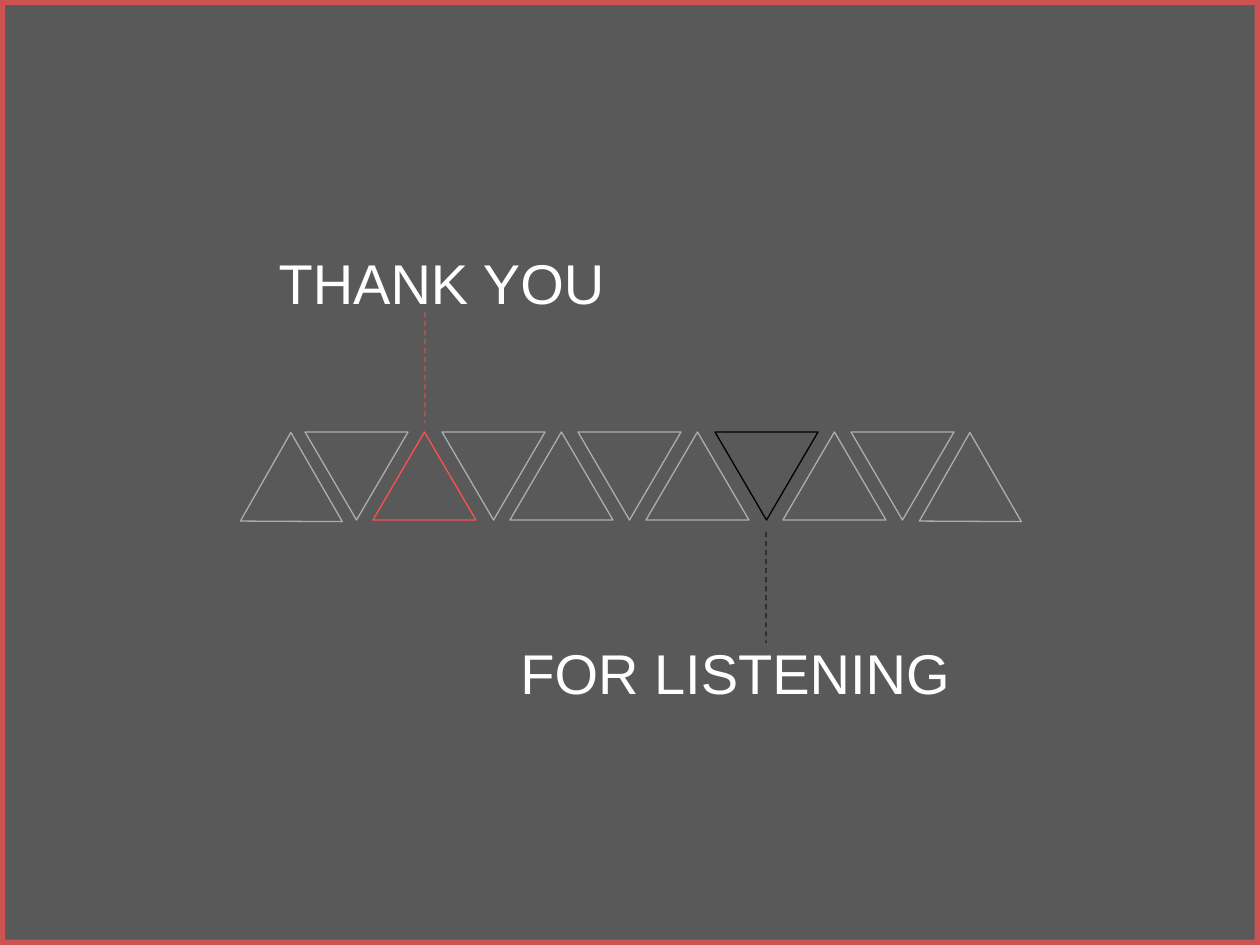
from dataclasses import dataclass

import lxml.etree
import pptx
import pptx.dml.color
import pptx.enum.dml
import pptx.enum.shapes
import pptx.enum.text
import pptx.oxml.ns
import pptx.shapes.autoshape
import pptx.shapes.base
import pptx.shapes.connector
import pptx.slide
import pptx.util

RGB = pptx.dml.color.RGBColor
GREY = RGB(0x59, 0x59, 0x59)
RED = RGB(0xFF, 0x50, 0x50)
WHITE = RGB(0xFF, 0xFF, 0xFF)
BLACK = RGB(0, 0, 0)
KIND = pptx.enum.shapes.MSO_SHAPE
SCALE = 914400 / 126
WIDE, HIGH = 1260, 945
SIDE, TALL = 103, 88
START, STEP, TOP = 305, 68.3, 432


@dataclass
class Box:
    left: int
    top: int
    width: int
    height: int
    turn: int = 0


@dataclass
class Dash:
    x: int
    top: int
    end: int
    color: RGB
    alpha: int = 100


def emu(px: float) -> int:
    return round(px * SCALE)


def fade(shape: pptx.shapes.base.BaseShape, alpha: int) -> None:
    for color in shape.element.xpath(".//a:srgbClr"):
        node = lxml.etree.SubElement(color, pptx.oxml.ns.qn("a:alpha"))
        node.set("val", str(alpha * 1000))


def place(shape: pptx.shapes.base.BaseShape, box: Box) -> None:
    shape.left, shape.top = emu(box.left), emu(box.top)
    shape.width, shape.height = emu(box.width), emu(box.height)
    shape.rotation = box.turn


def draw(slide: pptx.slide.Slide, kind: KIND, box: Box) -> pptx.shapes.autoshape.Shape:
    shape = slide.shapes.add_shape(kind, 0, 0, 0, 0)
    place(shape, box)
    shape.shadow.inherit = False
    shape.fill.background()
    shape.line.fill.background()
    return shape


def stroke(shape: pptx.shapes.autoshape.Shape, color: RGB, width: float) -> None:
    shape.line.color.rgb = color
    shape.line.width = pptx.util.Pt(width)


def slot(index: int) -> Box:
    turn = 0 if index % 2 else 180
    return Box(round(START + index * STEP), TOP, SIDE, TALL, turn)


def outline(slide: pptx.slide.Slide, box: Box, color: RGB) -> None:
    stroke(draw(slide, KIND.ISOSCELES_TRIANGLE, box), color, 0.75)


def link(slide: pptx.slide.Slide, dash: Dash) -> None:
    line = slide.shapes.add_connector(
        pptx.enum.shapes.MSO_CONNECTOR.STRAIGHT,
        emu(dash.x), emu(dash.top), emu(dash.x), emu(dash.end),
    )
    stroke(line, dash.color, 0.75)
    line.line.dash_style = pptx.enum.dml.MSO_LINE.DASH
    lxml.etree.SubElement(line.element.spPr, pptx.oxml.ns.qn("a:effectLst"))
    fade(line, dash.alpha)


def write(shape: pptx.shapes.autoshape.Shape, box: Box, text: str) -> None:
    place(shape, box)
    frame = shape.text_frame
    frame.word_wrap = True
    frame.auto_size = pptx.enum.text.MSO_AUTO_SIZE.NONE
    frame.vertical_anchor = pptx.enum.text.MSO_ANCHOR.TOP
    para = frame.paragraphs[0]
    para.alignment = pptx.enum.text.PP_ALIGN.JUSTIFY
    run = para.add_run()
    run.text = text
    run.font.name = "Arial"
    run.font.size = pptx.util.Pt(32)
    run.font.color.rgb = WHITE


def main() -> None:
    deck = pptx.Presentation()
    deck.slide_width, deck.slide_height = emu(WIDE), emu(HIGH)
    slide = deck.slides.add_slide(deck.slide_layouts[5])
    slide.background.fill.solid()
    slide.background.fill.fore_color.rgb = GREY

    border = draw(slide, KIND.RECTANGLE, Box(0, 0, WIDE, HIGH))
    stroke(border, RED, 6)
    fade(border, 70)

    accents = {1: RED, 6: BLACK}
    for index in range(9):
        if index not in accents:
            outline(slide, slot(index), WHITE)
    for left in (227, 906):
        outline(slide, Box(left, 455, SIDE, TALL, 240), WHITE)

    veil = draw(slide, KIND.RECTANGLE, Box(556, 62, 149, 833, 90))
    veil.fill.solid()
    veil.fill.fore_color.rgb = GREY
    fade(veil, 49)

    write(slide.shapes.title, Box(266, 242, 397, 81), "THANK YOU")
    link(slide, Dash(425, 312, 423, RED, 70))
    link(slide, Dash(766, 532, 643, BLACK, 70))
    write(slide.shapes.add_textbox(0, 0, 0, 0), Box(508, 632, 510, 81), "FOR LISTENING")
    for index, color in accents.items():
        outline(slide, slot(index), color)

    deck.save("out.pptx")


if __name__ == "__main__":
    main()
